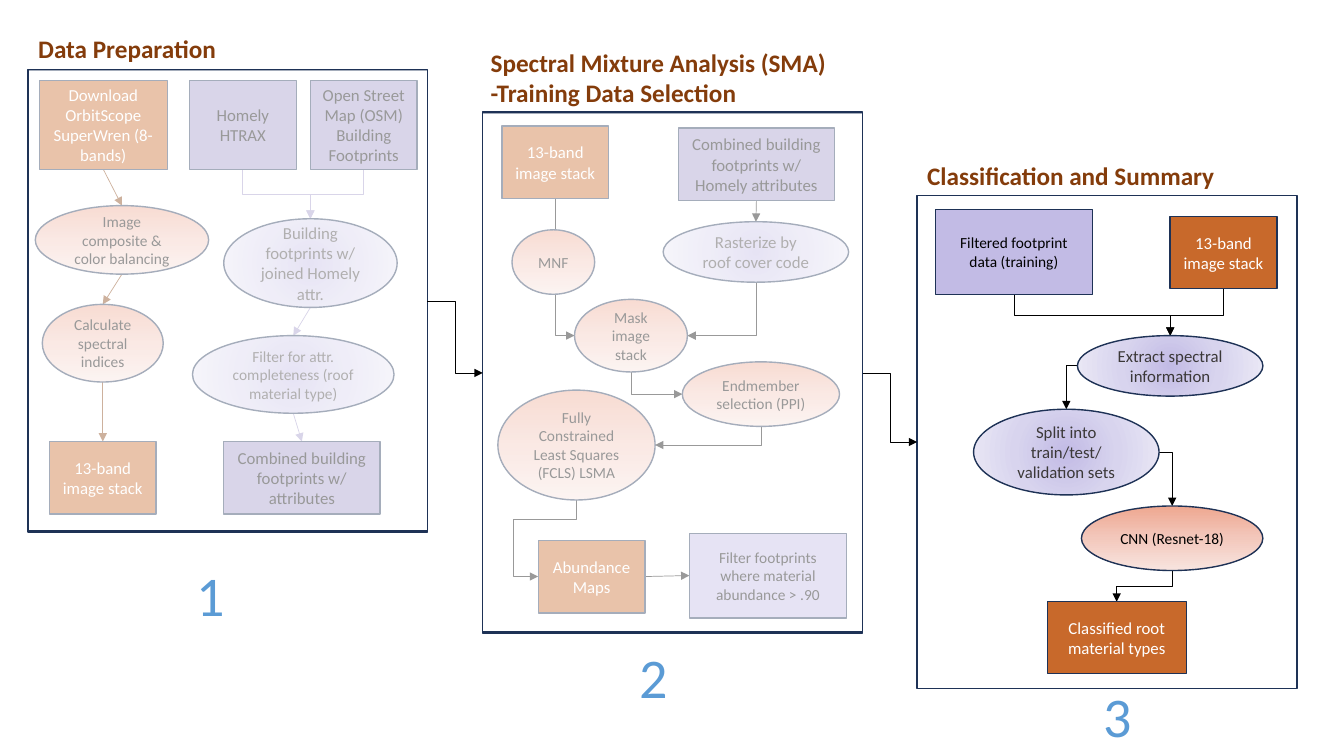
"""Build a three-stage flowchart slide for land-cover image classification."""
from lxml import etree
from pptx import Presentation
from pptx.dml.color import RGBColor
from pptx.enum.shapes import MSO_CONNECTOR, MSO_SHAPE
from pptx.enum.text import MSO_ANCHOR, PP_ALIGN
from pptx.oxml.ns import qn
from pptx.util import Cm, Pt

RECTANGLE, OVAL = MSO_SHAPE.RECTANGLE, MSO_SHAPE.OVAL
STRAIGHT, ELBOW = MSO_CONNECTOR.STRAIGHT, MSO_CONNECTOR.ELBOW
LEFT, CENTER = PP_ALIGN.LEFT, PP_ALIGN.CENTER
TOP, MIDDLE = MSO_ANCHOR.TOP, MSO_ANCHOR.MIDDLE
CM_PER_UNIT = 2.54

THEME = {
    "font": "Calibri", "outline": "1E3256", "veil": "FFFFFF", "veil_alpha": 60,
    "title": "843C0B", "title_size": 18, "number_size": 40,
    "number": ("1F4E79", "5B9BD5", "9DC3E6"),
    "arrows": {"image": "843C0B", "parcel": "A097C9", "plain": "000000"},
    "warm": ("EEA790", "F3C8BC", "F8E4DF"),
    "cool": ("C2BBE5", "D8D4EE", "EBE9F6"),
}
KINDS = {
    "image box": (RECTANGLE, "C8692B", "FFFFFF", 12),
    "parcel box": (RECTANGLE, "A097C9", "000000", 12),
    "filter box": (RECTANGLE, "C2BBE5", "000000", 11),
    "image oval": (OVAL, "warm", "000000", 11),
    "parcel oval": (OVAL, "cool", "3B3838", 12),
    "filter oval": (OVAL, "cool", "3B3838", 11),
}
STAGES = [
    {
        "title": ["Data Preparation"], "title_at": (0.28, 0.28, 1.98, 0.4),
        "frame": (0.28, 0.7, 3.96, 4.58), "veiled": True,
        "number": "1", "number_at": (1.84, 5.51, 0.49, 0.77),
        "nodes": {
            "download": ("image box", 0.39, 0.8, 1.27, 0.88, "Download OrbitScope SuperWren (8-bands)"),
            "sales": ("parcel box", 1.88, 0.8, 1.06, 0.88, "Homely HTRAX"),
            "street map": ("parcel box", 3.08, 0.8, 1.06, 0.88, "Open Street Map (OSM) Building Footprints"),
            "joined": ("parcel oval", 2.22, 2.17, 1.72, 0.88, "Building footprints w/ joined Homely attr."),
            "composite": ("image oval", 0.35, 2.04, 1.72, 0.68, "Image composite & color balancing"),
            "indices": ("image oval", 0.42, 3.02, 1.2, 0.77, "Calculate spectral indices"),
            "stack": ("image box", 0.49, 4.38, 1.06, 0.72, "13-band image stack"),
            "complete": ("filter oval", 1.91, 3.33, 2, 0.77, "Filter for attr. completeness (roof material type)"),
            "combined": ("parcel box", 2.22, 4.38, 1.55, 0.72, "Combined building footprints w/ attributes"),
        },
        "arrows": [
            ("sales", "bottom", "joined", "top", "parcel", ELBOW),
            ("street map", "bottom", "joined", "top", "parcel", ELBOW),
            ("download", "bottom", "composite", "top", "image", STRAIGHT),
            ("composite", "bottom", "indices", "top", "image", STRAIGHT),
            ("indices", "bottom", "stack", "top", "image", STRAIGHT),
            ("joined", "bottom", "complete", "top", "parcel", STRAIGHT),
            ("complete", "bottom", "combined", "top", "parcel", STRAIGHT),
        ],
    },
    {
        "title": ["Spectral Mixture Analysis (SMA)", "-Training Data Selection"],
        "title_at": (4.77, 0.42, 3.55, 0.71),
        "frame": (4.79, 1.12, 3.77, 5.16), "veiled": True,
        "number": "2", "number_at": (6.24, 6.33, 0.49, 0.77),
        "nodes": {
            "stack": ("image box", 4.98, 1.25, 1.06, 0.72, "13-band image stack"),
            "combined": ("parcel box", 6.73, 1.27, 1.55, 0.72, "Combined building footprints w/ Homely attributes"),
            "raster": ("parcel oval", 6.58, 2.2, 1.84, 0.6, "Rasterize by roof cover code"),
            "mask": ("image oval", 5.7, 2.97, 1.12, 0.72, "Mask image stack"),
            "noise": ("image oval", 5.08, 2.28, 0.82, 0.64, "MNF"),
            "endmember": ("image oval", 6.77, 3.59, 1.56, 0.64, "Endmember selection (PPI)"),
            "abundance": ("image box", 5.34, 5.36, 1.06, 0.72, "Abundance Maps"),
            "unmixing": ("image oval", 4.94, 3.87, 1.56, 1.09, "Fully Constrained Least Squares (FCLS) LSMA"),
            "threshold": ("filter box", 6.84, 5.29, 1.56, 0.84, "Filter footprints where material abundance > .90"),
        },
        "arrows": [
            ("raster", "bottom", "mask", "right", "plain", ELBOW),
            ("combined", "bottom", "raster", "top", "plain", STRAIGHT),
            ("stack", "bottom", "mask", "left", "plain", ELBOW),
            ("mask", "bottom", "endmember", "left", "plain", ELBOW),
            ("endmember", "bottom", "unmixing", "right", "plain", ELBOW),
            ("unmixing", "bottom", "abundance", "left", "plain", ELBOW, 0.26, 1.64),
            ("abundance", "right", "threshold", "left", "plain", STRAIGHT),
        ],
    },
    {
        "title": ["Classification and Summary"], "title_at": (9.1, 1.54, 3.08, 0.4),
        "frame": (9.1, 1.94, 3.77, 4.89), "veiled": False,
        "number": "3", "number_at": (10.84, 6.71, 0.49, 0.77),
        "nodes": {
            "training": ("filter box", 9.28, 2.08, 1.56, 0.84, "Filtered footprint data (training)"),
            "extract": ("parcel oval", 10.69, 3.33, 1.84, 0.6, "Extract spectral information"),
            "split": ("parcel oval", 9.66, 4.06, 1.84, 0.85, "Split into train/test/ validation sets"),
            "network": ("image oval", 10.73, 5.02, 1.8, 0.64, "CNN (Resnet-18)"),
            "stack": ("image box", 11.61, 2.15, 1.06, 0.71, "13-band image stack"),
            "classified": ("image box", 10.39, 5.97, 1.38, 0.71, "Classified root material types"),
        },
        "arrows": [
            ("training", "bottom", "extract", "top", "plain", ELBOW),
            ("stack", "bottom", "extract", "top", "plain", ELBOW, 0.58),
            ("extract", "left", "split", "top", "plain", ELBOW),
            ("split", "right", "network", "top", "plain", ELBOW),
            ("network", "bottom", "classified", "top", "plain", ELBOW),
        ],
    },
]


def lengths(*values):
    return [Cm(value * CM_PER_UNIT) for value in values]


def set_gradient(fill, colors, radial=False):
    fill.gradient()
    gradient = fill._xPr.find(qn("a:gradFill"))
    for child in list(gradient):
        gradient.remove(child)
    stops = etree.SubElement(gradient, qn("a:gsLst"))
    for position, color in zip((0, 50000, 100000), colors):
        stop = etree.SubElement(stops, qn("a:gs"), pos=str(position))
        etree.SubElement(stop, qn("a:srgbClr"), val=color)
    if radial:
        center = etree.SubElement(gradient, qn("a:path"), {"path": "circle"})
        etree.SubElement(center, qn("a:fillToRect"), dict.fromkeys("ltrb", "50000"))
    else:
        etree.SubElement(gradient, qn("a:lin"), ang="5400000", scaled="0")


def write_text(shape, lines, size, color, bold=False, align=CENTER, anchor=MIDDLE, wrap=True):
    frame = shape.text_frame
    frame.word_wrap, frame.vertical_anchor = wrap, anchor
    for index, line in enumerate(lines):
        paragraph = frame.add_paragraph() if index else frame.paragraphs[0]
        paragraph.alignment = align
        run = paragraph.add_run()
        run.text = line
        run.font.name, run.font.size, run.font.bold = THEME["font"], Pt(size), bold
        if isinstance(color, tuple):
            set_gradient(run.font.fill, color)
        else:
            run.font.color.rgb = RGBColor.from_string(color)


def add_outlined(slide, preset, box, fill=None):
    shape = slide.shapes.add_shape(preset, *lengths(*box))
    shape.shadow.inherit = False
    shape.line.color.rgb = RGBColor.from_string(THEME["outline"])
    shape.line.width = Pt(1)
    if fill is None:
        shape.fill.background()
    elif fill in THEME:
        set_gradient(shape.fill, THEME[fill], radial=fill == "cool")
    else:
        shape.fill.solid()
        shape.fill.fore_color.rgb = RGBColor.from_string(fill)
    return shape


def side_point(box, side):
    left, top, width, height = box
    across = {"left": 0, "right": 1}.get(side, 0.5)
    down = {"top": 0, "bottom": 1}.get(side, 0.5)
    return left + across * width, top + down * height


def add_arrow(slide, start_box, start_side, end_box, end_side, color, kind, *bends):
    x1, y1 = side_point(start_box, start_side)
    x2, y2 = side_point(end_box, end_side)
    upright = kind == ELBOW and start_side == "bottom"
    rightward = x2 > x1
    if upright:
        middle_x, middle_y = (x1 + x2) / 2, (y1 + y2) / 2
        reach = (y2 - y1) / 2 * (-1 if rightward else 1)
        rise = abs(x2 - x1) / 2
        x1, x2 = middle_x - reach, middle_x + reach
        y1, y2 = middle_y - rise, middle_y + rise
    connector = slide.shapes.add_connector(kind, *lengths(x1, y1, x2, y2))
    connector.line.color.rgb = RGBColor.from_string(color)
    connector.line.width = Pt(0.5)
    properties = connector._element.spPr
    if upright:
        properties.find(qn("a:xfrm")).set("rot", str((270 if rightward else 90) * 60000))
    if kind == ELBOW:
        turns_corner = (start_side in ("top", "bottom")) != (end_side in ("top", "bottom"))
        segments = 4 if len(bends) == 2 else 2 if turns_corner else 3
        geometry = properties.find(qn("a:prstGeom"))
        geometry.set("prst", f"bentConnector{segments}")
        guides = geometry.find(qn("a:avLst"))
        for index, bend in enumerate(bends, 1):
            etree.SubElement(guides, qn("a:gd"), name=f"adj{index}" if len(bends) > 1 else "adj1",
                             fmla=f"val {round(bend * 100000)}")
    etree.SubElement(properties.find(qn("a:ln")), qn("a:tailEnd"), type="triangle")
    etree.SubElement(properties, qn("a:effectLst"))


def add_stage(slide, stage):
    add_outlined(slide, RECTANGLE, stage["frame"])
    title = slide.shapes.add_textbox(*lengths(*stage["title_at"]))
    write_text(title, stage["title"], THEME["title_size"], THEME["title"],
               bold=True, align=LEFT, anchor=TOP, wrap=False)
    nodes = stage["nodes"]
    for start, start_side, end, end_side, color, kind, *bends in stage["arrows"]:
        add_arrow(slide, nodes[start][1:5], start_side, nodes[end][1:5], end_side,
                  THEME["arrows"][color], kind, *bends)
    for kind, *box, text in nodes.values():
        preset, fill, color, size = KINDS[kind]
        write_text(add_outlined(slide, preset, box, fill), [text], size, color)
    if stage["veiled"]:
        left, top, width, height = stage["frame"]
        veil = add_outlined(slide, RECTANGLE, (left, top - 0.01, width, height), THEME["veil"])
        tint = veil._element.spPr.find(qn("a:solidFill")).find(qn("a:srgbClr"))
        etree.SubElement(tint, qn("a:alpha"), val=str(THEME["veil_alpha"] * 1000))
    number = slide.shapes.add_textbox(*lengths(*stage["number_at"]))
    write_text(number, [stage["number"]], THEME["number_size"], THEME["number"], anchor=TOP, wrap=False)


def main():
    presentation = Presentation()
    presentation.slide_width, presentation.slide_height = Cm(33.87), Cm(19.05)
    slide = presentation.slides.add_slide(presentation.slide_layouts[6])
    for stage in STAGES:
        add_stage(slide, stage)
    for before, after in zip(STAGES, STAGES[1:]):
        add_arrow(slide, before["frame"], "right", after["frame"], "left", THEME["arrows"]["plain"], ELBOW)
    presentation.save("out.pptx")


if __name__ == "__main__":
    main()
